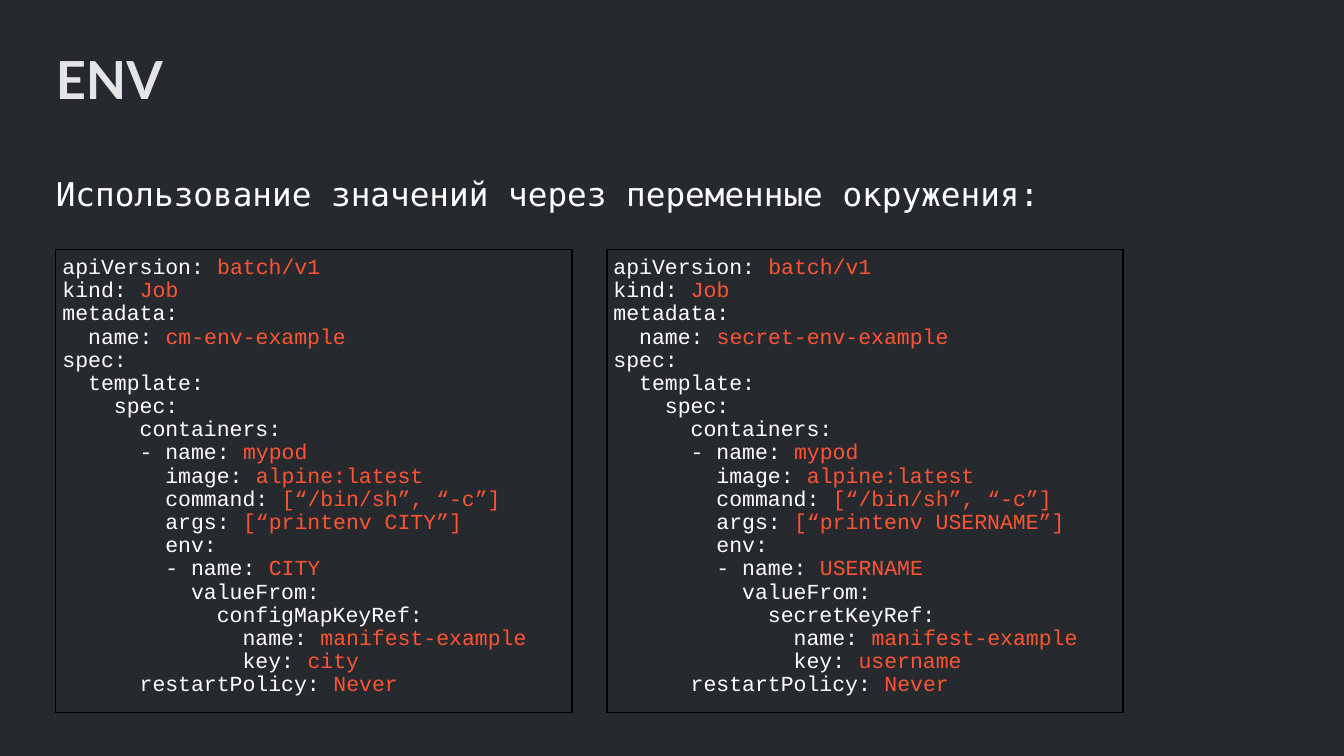
from pptx import Presentation
from pptx import util as u
from pptx.dml import color
from pptx.enum import shapes, text

COLORS = {
    "background": "262A2F",
    "title": "E5E5E5",
    "key": "FFFFFF",
    "value": "FF5433",
    "border": "000000",
}

MANIFEST = """\
apiVersion: batch/v1
kind: Job
metadata:
  name: {job}
spec:
  template:
    spec:
      containers:
      - name: mypod
        image: alpine:latest
        command: [“/bin/sh”, “-c”]
        args: [“printenv {variable}”]
        env:
        - name: {variable}
          valueFrom:
            {source}:
              name: manifest-example
              key: {key}
      restartPolicy: Never"""

JOBS = [
    {"job": "cm-env-example", "variable": "CITY",
     "source": "configMapKeyRef", "key": "city"},
    {"job": "secret-env-example", "variable": "USERNAME",
     "source": "secretKeyRef", "key": "username"},
]


def rgb(name):
    return color.RGBColor.from_string(COLORS[name])


def style(run, font_name, size, color_name, bold=False):
    run.font.name = font_name
    run.font.size = u.Pt(size)
    run.font.bold = bold
    run.font.color.rgb = rgb(color_name)


def set_frame(frame, inset):
    frame.word_wrap = True
    frame.vertical_anchor = text.MSO_ANCHOR.TOP
    frame.margin_left = frame.margin_right = u.Inches(inset)
    frame.margin_top = frame.margin_bottom = u.Inches(inset)


def add_heading(slide, box, wording, spacing, **font):
    heading = slide.shapes.add_textbox(*map(u.Inches, box))
    set_frame(heading.text_frame, 0)
    line = heading.text_frame.paragraphs[0]
    line.text = wording
    line.line_spacing = spacing
    style(line.runs[0], **font)


def add_manifest(slide, box, manifest):
    panel = slide.shapes.add_shape(shapes.MSO_SHAPE.RECTANGLE, *map(u.Inches, box))
    panel.shadow.inherit = False
    panel.fill.background()
    panel.line.color.rgb = rgb("border")
    panel.line.width = u.Pt(1.5)
    frame = panel.text_frame
    set_frame(frame, 0.1)
    frame.text = manifest
    for line in frame.paragraphs:
        line.alignment = text.PP_ALIGN.LEFT
        line.line_spacing = 0.9
        key, separator, value = line.text.partition(": ")
        line.runs[0].text = key + separator
        style(line.runs[0], "Courier New", 23, "key")
        if value:
            value_run = line.add_run()
            value_run.text = value
            style(value_run, "Courier New", 23, "value")


def add_manifests(slide, box, jobs, gap):
    left, top, width, height = box
    panel_width = (width - gap * (len(jobs) - 1)) / len(jobs)
    for index, job in enumerate(jobs):
        panel_left = left + index * (panel_width + gap)
        add_manifest(slide, (panel_left, top, panel_width, height), MANIFEST.format(**job))


def main():
    deck = Presentation()
    deck.slide_width = u.Inches(20)
    deck.slide_height = u.Inches(11.25)
    slide = deck.slides.add_slide(deck.slide_layouts[6])
    slide.background.fill.solid()
    slide.background.fill.fore_color.rgb = rgb("background")

    add_heading(slide, (0.83, 0.85, 17.92, 1.97), "ENV", u.Pt(56.3),
                font_name="Lato", size=56.2, color_name="title", bold=True)
    add_heading(slide, (0.83, 2.29, 17.92, 1.02),
                "Использование значений через переменные окружения:", 1.5,
                font_name="DejaVu Sans Mono", size=35, color_name="key")
    add_manifests(slide, (0.83, 3.71, 15.88, 6.89), JOBS, gap=0.52)
    deck.save("out.pptx")


if __name__ == "__main__":
    main()
